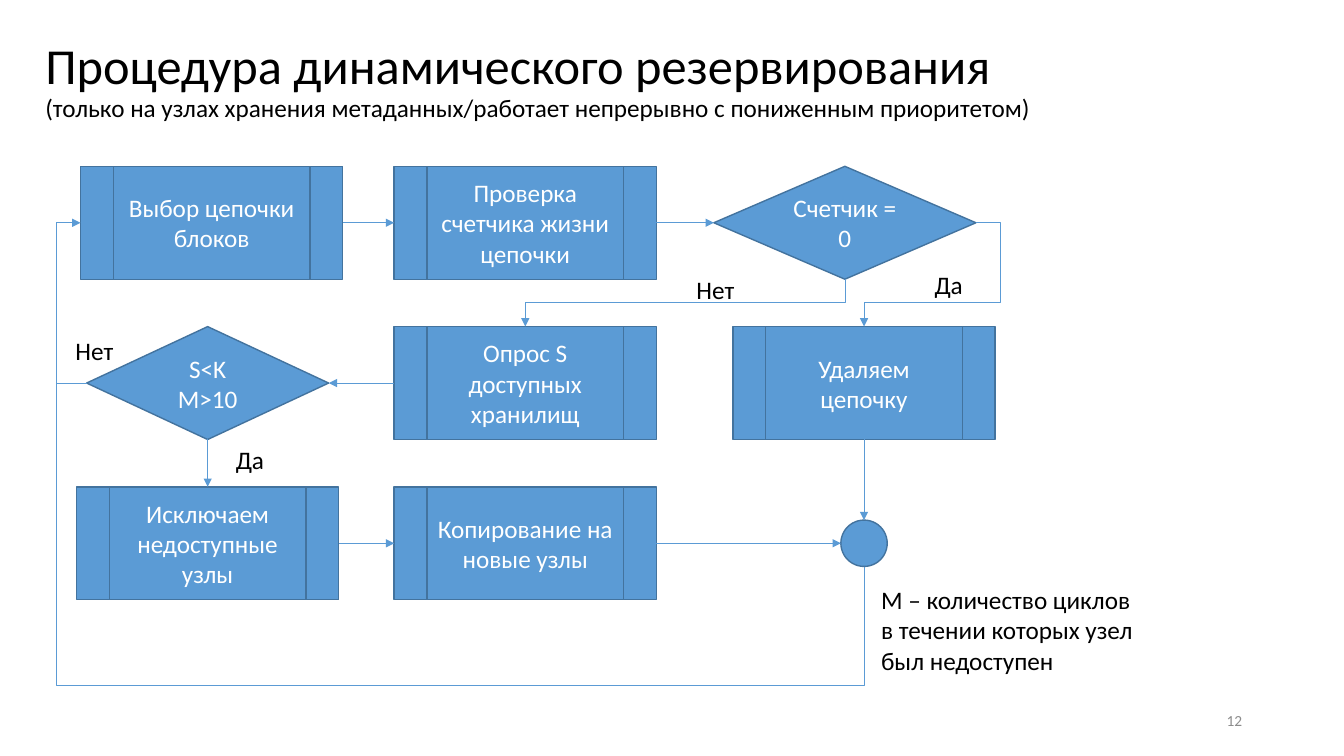
from dataclasses import dataclass
from enum import IntEnum

from lxml.etree import SubElement
from pptx import Presentation
from pptx.dml.color import RGBColor
from pptx.enum.shapes import MSO_CONNECTOR, MSO_SHAPE
from pptx.enum.text import MSO_ANCHOR, MSO_AUTO_SIZE, PP_ALIGN
from pptx.oxml.ns import qn
from pptx.util import Inches, Pt

FONT = "Calibri"
BLACK, WHITE, GREY = "000000", "FFFFFF", "8C8C8C"
BLUE, DARK_BLUE = "5B9BD5", "43739E"
ROW_TOP, ROW_PITCH, STEP_HEIGHT = 1.65, 1.59, 1.12
PROCESS, DECISION = MSO_SHAPE.FLOWCHART_PREDEFINED_PROCESS, MSO_SHAPE.FLOWCHART_DECISION
RETURN_LANE = 0.56


class Side(IntEnum):
    """Connection sites of a four-sided shape."""
    TOP = 0
    LEFT = 1
    BOTTOM = 2
    RIGHT = 3


@dataclass
class Step:
    key: str
    text: str
    left: float
    row: int
    width: float = 2.6
    kind: MSO_SHAPE = PROCESS


@dataclass
class Arrow:
    source: str
    exit: Side
    target: str
    entry: Side
    lanes: tuple = ()  # inches, alternating axes, starting along the exit direction


@dataclass
class Label:
    text: str
    left: float
    top: float
    width: float
    height: float = 0.4


STEPS = [
    Step("choose", "Выбор цепочки блоков", 0.8, 0),
    Step("check", "Проверка счетчика жизни цепочки", 3.91, 0),
    Step("counter", "Счетчик = 0", 7.08, 0, kind=DECISION),
    Step("limits", "S<K\nM>10", 0.86, 1, 2.4, DECISION),
    Step("poll", "Опрос S доступных хранилищ", 3.91, 1),
    Step("delete", "Удаляем цепочку", 7.27, 1),
    Step("exclude", "Исключаем недоступные\nузлы", 0.76, 2),
    Step("copy", "Копирование на новые узлы", 3.91, 2),
]
ARROWS = [
    Arrow("choose", Side.RIGHT, "check", Side.LEFT),
    Arrow("check", Side.RIGHT, "counter", Side.LEFT),
    Arrow("counter", Side.RIGHT, "delete", Side.TOP, (9.92, 3.0)),
    Arrow("counter", Side.BOTTOM, "poll", Side.TOP, (3.0,)),
    Arrow("poll", Side.LEFT, "limits", Side.RIGHT),
    Arrow("limits", Side.BOTTOM, "exclude", Side.TOP),
    Arrow("exclude", Side.RIGHT, "copy", Side.LEFT),
    Arrow("copy", Side.RIGHT, "junction", Side.LEFT),
    Arrow("delete", Side.BOTTOM, "junction", Side.TOP),
    Arrow("junction", Side.BOTTOM, "choose", Side.LEFT, (6.8, RETURN_LANE)),
]
LABELS = [
    Label("Да", 9.17, 2.62, 0.52),
    Label("Нет", 6.81, 2.67, 0.63),
    Label("Да", 2.24, 4.36, 0.52),
    Label("Нет", 0.65, 3.28, 0.63),
    Label("M – количество циклов\nв течении которых узел\nбыл недоступен", 8.64, 5.75, 2.98, 1.0),
]


def color(value: str) -> RGBColor:
    return RGBColor.from_string(value)


def format_text(frame, size: float, text_color: str, align=PP_ALIGN.LEFT) -> None:
    for paragraph in frame.paragraphs:
        paragraph.alignment = align
        for run in paragraph.runs:
            run.font.name = FONT
            run.font.size = Pt(size)
            run.font.color.rgb = color(text_color)


def add_title(slide) -> None:
    title = slide.shapes.title
    title.left, title.top = Inches(0.35), Inches(0.4)
    title.width, title.height = Inches(11.63), Inches(0.82)
    frame = title.text_frame
    frame.text = ("Процедура динамического резервирования\v"
                  "(только на узлах хранения метаданных/работает непрерывно с пониженным приоритетом)")
    frame.word_wrap, frame.auto_size = True, MSO_AUTO_SIZE.NONE
    frame.vertical_anchor = MSO_ANCHOR.MIDDLE
    format_text(frame, 36, BLACK)
    paragraph = frame.paragraphs[0]
    paragraph.line_spacing = 0.9
    paragraph.runs[1].font.size = Pt(18)
    line_break = paragraph._p.find(qn("a:br"))
    SubElement(line_break, qn("a:rPr")).set("sz", "3600")


def add_node(slide, kind: MSO_SHAPE, left: float, top: float, width: float, height: float, text: str = ""):
    node = slide.shapes.add_shape(kind, Inches(left), Inches(top), Inches(width), Inches(height))
    node.shadow.inherit = False
    node.fill.solid()
    node.fill.fore_color.rgb = color(BLUE)
    node.line.color.rgb = color(DARK_BLUE)
    node.line.width = Pt(1)
    node.text_frame.text = text
    node.text_frame.vertical_anchor = MSO_ANCHOR.MIDDLE
    format_text(node.text_frame, 18, WHITE, PP_ALIGN.CENTER)
    return node


def add_text(slide, label: Label, size: float = 18, text_color: str = BLACK, align=PP_ALIGN.LEFT):
    box = slide.shapes.add_textbox(Inches(label.left), Inches(label.top),
                                   Inches(label.width), Inches(label.height))
    box.text_frame.text = label.text
    box.text_frame.word_wrap = False
    format_text(box.text_frame, size, text_color, align)
    return box


def side_point(shape, side: Side) -> tuple[int, int]:
    middle_x, middle_y = shape.left + shape.width // 2, shape.top + shape.height // 2
    return {
        Side.TOP: (middle_x, shape.top),
        Side.LEFT: (shape.left, middle_y),
        Side.BOTTOM: (middle_x, shape.top + shape.height),
        Side.RIGHT: (shape.left + shape.width, middle_y),
    }[side]


def add_line(slide, kind: MSO_CONNECTOR, begin: tuple[int, int], end: tuple[int, int], arrowhead: bool = True):
    line = slide.shapes.add_connector(kind, *begin, *end)
    line.line.color.rgb = color(BLUE)
    line.line.width = Pt(0.5)
    if arrowhead:
        SubElement(line.line._get_or_add_ln(), qn("a:tailEnd")).set("type", "triangle")
    SubElement(line._element.spPr, qn("a:effectLst"))
    return line


def route_elbow(line, begin: tuple[int, int], end: tuple[int, int], arrow: Arrow) -> None:
    """Turn the elbow to its exit side and lead its bends along the lanes."""
    properties = line._element.spPr
    axis = 0
    if arrow.exit in (Side.TOP, Side.BOTTOM):
        axis = 1
        width, height = abs(end[1] - begin[1]), abs(end[0] - begin[0])
        line.left, line.top = (begin[0] + end[0] - width) // 2, (begin[1] + end[1] - height) // 2
        line.width, line.height = width, height
        properties.xfrm.set("rot", str(90 * 60000))
        properties.xfrm.set("flipH", str(int(end[1] < begin[1])))
        properties.xfrm.set("flipV", str(int(end[0] > begin[0])))
    geometry = properties.find(qn("a:prstGeom"))
    geometry.set("prst", f"bentConnector{len(arrow.lanes) + 2}")
    guides = geometry.find(qn("a:avLst"))
    for number, lane in enumerate(arrow.lanes, start=1):
        share = (Inches(lane) - begin[axis]) / (end[axis] - begin[axis])
        guide = SubElement(guides, qn("a:gd"))
        guide.set("name", f"adj{number}")
        guide.set("fmla", f"val {round(share * 100000)}")
        axis = 1 - axis


def add_arrow(slide, nodes: dict, arrow: Arrow) -> None:
    source, target = nodes[arrow.source], nodes[arrow.target]
    begin, end = side_point(source, arrow.exit), side_point(target, arrow.entry)
    if arrow.lanes:
        route_elbow(add_line(slide, MSO_CONNECTOR.ELBOW, begin, end), begin, end, arrow)
        return
    line = add_line(slide, MSO_CONNECTOR.STRAIGHT, begin, end)
    line.begin_connect(source, int(arrow.exit))
    if arrow.target != "junction":
        line.end_connect(target, int(arrow.entry))


def main() -> None:
    presentation = Presentation()
    presentation.slide_width, presentation.slide_height = Inches(13.33), Inches(7.5)
    slide = presentation.slides.add_slide(presentation.slide_layouts[5])
    add_title(slide)
    nodes = {step.key: add_node(slide, step.kind, step.left, ROW_TOP + ROW_PITCH * step.row,
                                step.width, STEP_HEIGHT, step.text) for step in STEPS}
    nodes["junction"] = add_node(slide, MSO_SHAPE.FLOWCHART_CONNECTOR, 8.34, 5.16, 0.46, 0.46)
    for arrow in ARROWS:
        add_arrow(slide, nodes, arrow)
    limits_left = side_point(nodes["limits"], Side.LEFT)
    add_line(slide, MSO_CONNECTOR.STRAIGHT, limits_left, (Inches(RETURN_LANE), limits_left[1]), arrowhead=False)
    for label in LABELS:
        add_text(slide, label)
    page_number = add_text(slide, Label("12", 9.42, 6.95, 3.0), 11, GREY, PP_ALIGN.RIGHT)
    page_number.text_frame.word_wrap = True
    page_number.text_frame.vertical_anchor = MSO_ANCHOR.MIDDLE
    presentation.save("out.pptx")


if __name__ == "__main__":
    main()
